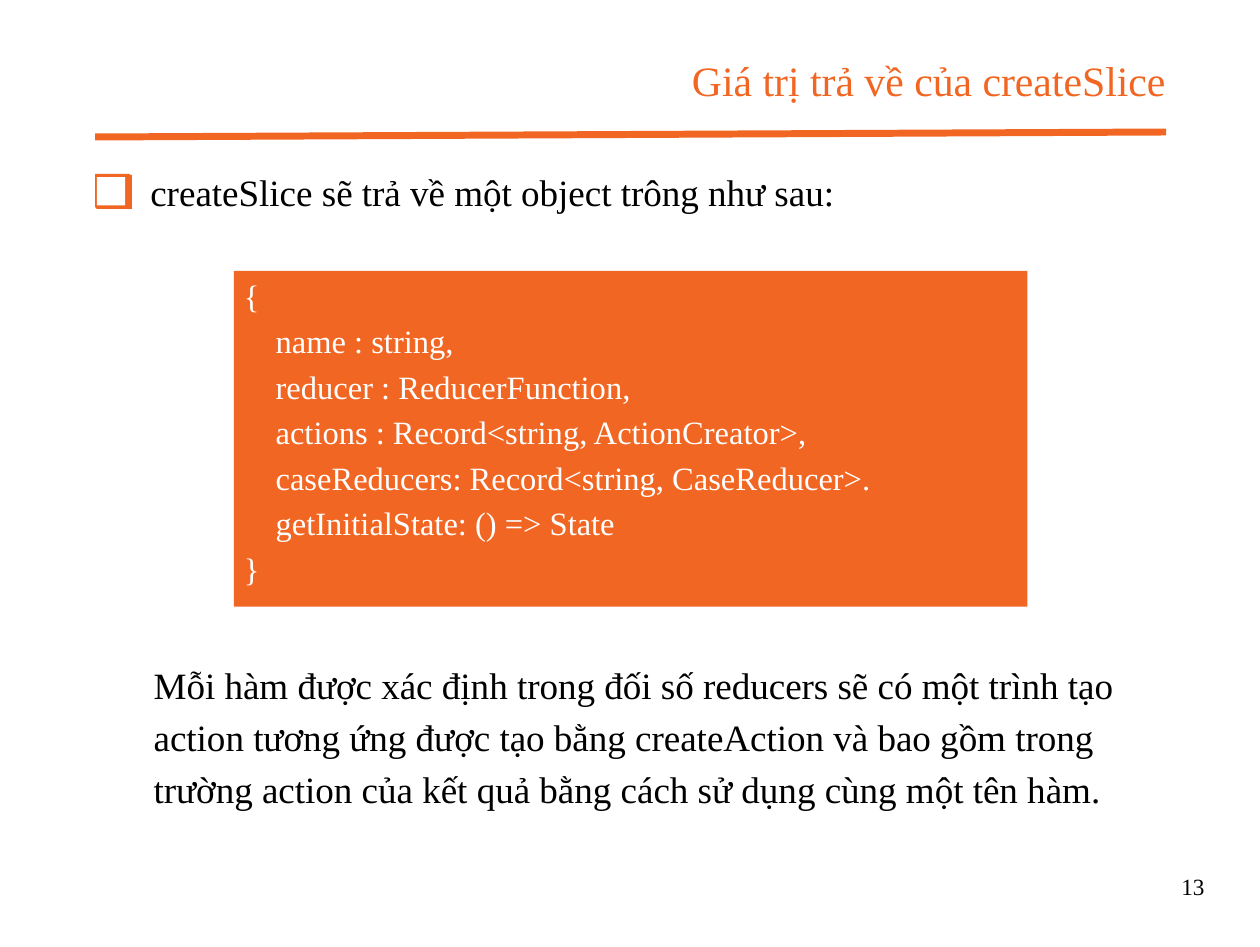
from pptx import Presentation
from pptx.dml.color import RGBColor
from pptx.enum.shapes import MSO_CONNECTOR, MSO_SHAPE
from pptx.enum.text import MSO_ANCHOR, MSO_AUTO_SIZE, PP_ALIGN
from pptx.oxml.ns import qn
from pptx.util import Inches, Pt
from lxml import etree

ORANGE = RGBColor(0xF1, 0x66, 0x22)
WHITE = RGBColor(0xFF, 0xFF, 0xFF)
BLACK = RGBColor(0x00, 0x00, 0x00)
FONT = "Times New Roman"
LEADING = 1.4
POINTS_PER_INCH = 72
LEFT, RIGHT = PP_ALIGN.LEFT, PP_ALIGN.RIGHT
TOP, MIDDLE = MSO_ANCHOR.TOP, MSO_ANCHOR.MIDDLE
NO_AUTOFIT = MSO_AUTO_SIZE.NONE
RECTANGLE = MSO_SHAPE.RECTANGLE
STRAIGHT = MSO_CONNECTOR.STRAIGHT

TITLE = "Giá trị trả về của createSlice"
INTRO = "createSlice sẽ trả về một object trông như sau:"
EXPLANATION = (
    "Mỗi hàm được xác định trong đối số reducers sẽ có một trình tạo "
    "action tương ứng được tạo bằng createAction và bao gồm trong "
    "trường action của kết quả bằng cách sử dụng cùng một tên hàm."
)
FIELDS = [
    "name : string,",
    "reducer : ReducerFunction,",
    "actions : Record<string, ActionCreator>,",
    "caseReducers: Record<string, CaseReducer>.",
    "getInitialState: () => State",
]
CODE = [("{", 0), *((field, 0.19) for field in FIELDS), ("}", 0)]
BOX_SQUARES = [
    (0.58, 1.05, 0.21, 0.2, ORANGE),
    (0.57, 1.04, 0.2, 0.2, ORANGE),
    (0.58, 1.06, 0.17, 0.17, WHITE),
]
BOX_EDGES = [
    [(0.77, 1.04), (0.79, 1.05), (0.79, 1.07), (0.76, 1.06)],
    [(0.58, 1.23), (0.59, 1.24), (0.58, 1.25), (0.57, 1.24)],
]


def place(shape, left, top, width, height):
    """Move and size a shape, in inches."""
    shape.left, shape.top = Inches(left), Inches(top)
    shape.width, shape.height = Inches(width), Inches(height)
    return shape


def write(shape, lines, size, color, align=LEFT, anchor=TOP, inset=0):
    """Fill a shape with (text, indent in inches) lines."""
    frame = shape.text_frame
    frame.word_wrap = True
    frame.auto_size = NO_AUTOFIT
    frame.vertical_anchor = anchor
    frame.margin_left = frame.margin_right = Inches(inset)
    frame.margin_top = frame.margin_bottom = Inches(inset)
    for number, (text, indent) in enumerate(lines):
        paragraph = frame.add_paragraph() if number else frame.paragraphs[0]
        paragraph.alignment = align
        paragraph.line_spacing = Pt(size * LEADING)
        paragraph.space_before = Pt(0)
        properties = paragraph._p.get_or_add_pPr()
        properties.set("marL", str(Inches(indent)))
        properties.set("indent", "0")
        etree.SubElement(properties, qn("a:buNone"))
        run = paragraph.add_run()
        run.text = text
        run.font.name = FONT
        run.font.size = Pt(size)
        run.font.color.rgb = color


def paint(shape, color):
    """Give a shape a plain fill with no line or shadow."""
    shape.shadow.inherit = False
    shape.fill.solid()
    shape.fill.fore_color.rgb = color
    shape.line.fill.background()


def add_block(slide, left, top, width, height, color):
    """Add a plain rectangle."""
    block = slide.shapes.add_shape(
        RECTANGLE, Inches(left), Inches(top), Inches(width), Inches(height)
    )
    paint(block, color)


def add_box(slide, left, top, width, height):
    """Add an empty text box."""
    return slide.shapes.add_textbox(
        Inches(left), Inches(top), Inches(width), Inches(height)
    )


def add_rule(slide):
    """Add the orange line under the title."""
    rule = slide.shapes.add_connector(
        STRAIGHT, Inches(0.57), Inches(0.82), Inches(6.98), Inches(0.79)
    )
    rule.line.color.rgb = ORANGE
    rule.line.width = Pt(3)
    etree.SubElement(rule._element.spPr, qn("a:effectLst"))


def add_checkbox(slide):
    """Add the raised square that marks the introduction."""
    for square in BOX_SQUARES:
        add_block(slide, *square)
    for edge in BOX_EDGES:
        start, *corners = [(Inches(x), Inches(y)) for x, y in edge]
        outline = slide.shapes.build_freeform(*start)
        outline.add_line_segments(corners, close=True)
        paint(outline.convert_to_shape(), ORANGE)


def add_code(slide):
    """Add the orange panel and the code on it."""
    add_block(slide, 1.4, 1.62, 4.75, 2.01, ORANGE)
    code = add_box(slide, 1.4, 1.5, 4.75, 2.13)
    write(code, CODE, 14, WHITE, anchor=MIDDLE, inset=0.06)


def main():
    """Build the slide and save it."""
    presentation = Presentation()
    presentation.slide_width = Inches(543 / POINTS_PER_INCH)
    presentation.slide_height = Inches(408 / POINTS_PER_INCH)
    slide = presentation.slides.add_slide(presentation.slide_layouts[1])

    title = place(slide.shapes.title, 2.11, 0.28, 4.87, 0.38)
    write(title, [(TITLE, 0)], 18, ORANGE, RIGHT)
    add_rule(slide)
    add_checkbox(slide)
    intro = place(slide.placeholders[1], 0.9, 0.97, 6.02, 0.31)
    write(intro, [(INTRO, 0)], 16, BLACK)
    add_code(slide)
    explanation = add_box(slide, 0.92, 3.92, 6.06, 1.24)
    write(explanation, [(EXPLANATION, 0)], 16, BLACK)
    page_number = add_box(slide, 6.98, 5.19, 0.23, 0.2)
    write(page_number, [("13", 0)], 10, BLACK, RIGHT)
    presentation.save("out.pptx")


if __name__ == "__main__":
    main()
